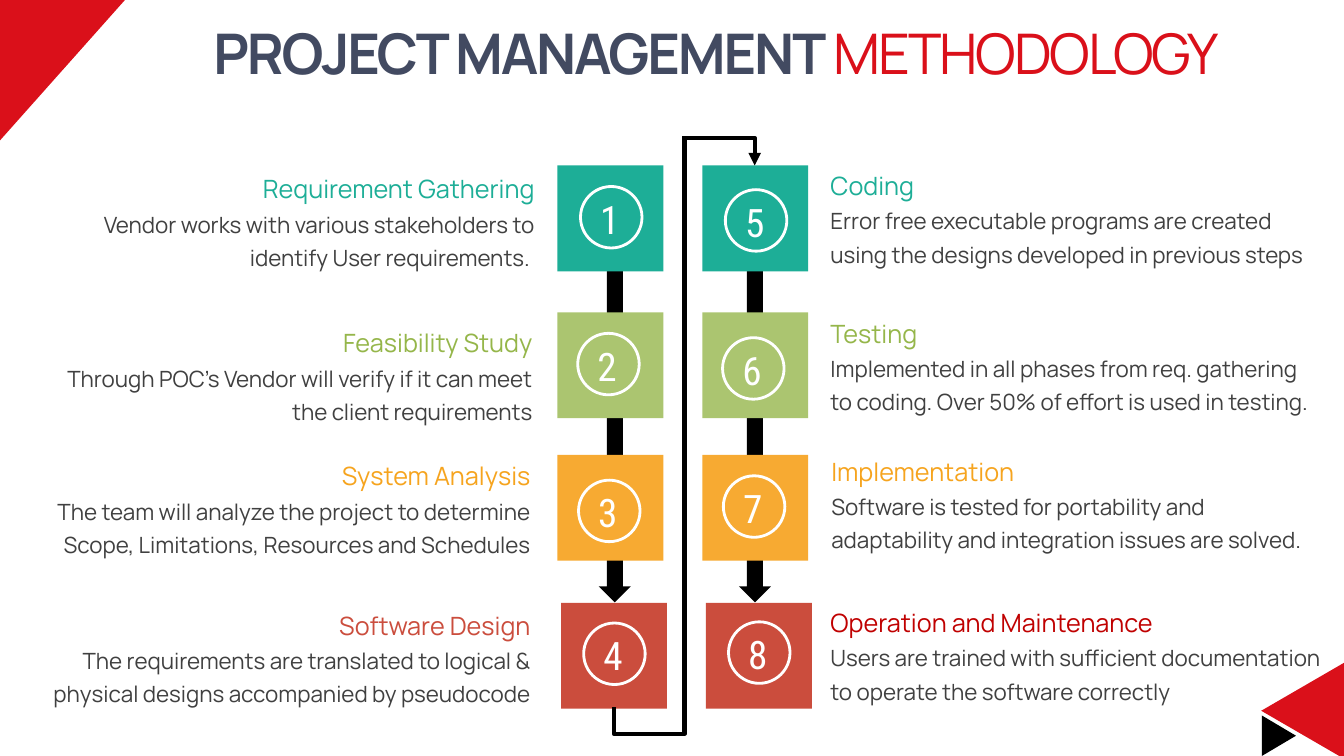
from dataclasses import dataclass

from lxml import etree
from pptx import Presentation
from pptx import util as u
from pptx.dml.color import RGBColor
from pptx.enum import shapes, text
from pptx.oxml import ns

Cm, Pt = u.Cm, u.Pt
PRESET = shapes.MSO_SHAPE
ALIGN = text.PP_ALIGN


@dataclass(frozen=True)
class Theme:
    red: str = "DA101A"
    navy: str = "424A61"
    body: str = "404040"
    black: str = "000000"
    white: str = "FFFFFF"
    boxes: tuple = ("1DAE97", "ABC570", "F7AA32", "CB4D3D")
    left_headings: tuple = ("1DAE97", "95B64A", "F6A41E", "CB4D3D")
    right_headings: tuple = ("1DAE97", "95B64A", "F6A41E", "C00000")
    font: str = "Manrope"
    number_font: str = "Roboto Condensed"
    title_size: int = 40
    heading_size: int = 18
    body_size: int = 16
    number_size: int = 28
    title_leading: int = 43
    caption_leading: int = 24


@dataclass(frozen=True)
class Step:
    heading: str
    body: str
    caption_at: tuple
    circle_offset: tuple


THEME = Theme()
SLIDE_WIDTH, SLIDE_HEIGHT = 33.87, 19.05
BOX = 2.67
ROW_TOPS = (4.17, 7.87, 11.46, 15.19)
LAST_ROW_SHIFT = 0.09
CIRCLE = 1.55
CAPTION_SIZE = (12.88, 2.82)

LEFT_STEPS = (
    Step("Requirement Gathering",
         "Vendor works with various stakeholders to identify User requirements. ",
         (0.84, 4.17), (0.58, 0.53)),
    Step("Feasibility Study",
         "Through POC’s Vendor will verify if it can meet the client requirements",
         (0.79, 8.05), (0.51, 0.53)),
    Step("System Analysis",
         "The team will analyze the project to determine Scope, Limitations, "
         "Resources and Schedules",
         (0.74, 11.4), (0.53, 0.64)),
    Step("Software Design",
         "The requirements are translated to logical & physical designs "
         "accompanied by pseudocode",
         (0.74, 15.16), (0.57, 0.51)),
)
RIGHT_STEPS = (
    Step("Coding",
         "Error free executable programs are created using the designs "
         "developed in previous steps",
         (20.68, 4.09), (0.58, 0.61)),
    Step("Testing",
         "Implemented in all phases from req. gathering to coding. "
         "Over 50% of effort is used in testing.",
         (20.68, 7.8), (0.51, 0.64)),
    Step("Implementation",
         "Software is tested for portability and adaptability and "
         "integration issues are solved.",
         (20.7, 11.28), (0.53, 0.53)),
    Step("Operation and Maintenance",
         "Users are trained with sufficient documentation to operate "
         "the software correctly",
         (20.68, 15.09), (0.57, 0.48)),
)


def color(value):
    return RGBColor.from_string(value)


def paint(shape, fill):
    shape.shadow.inherit = False
    shape.fill.solid()
    shape.fill.fore_color.rgb = color(fill)
    shape.line.fill.background()


def add_preset(slide, preset, left, top, width, height, fill):
    shape = slide.shapes.add_shape(preset, Cm(left), Cm(top), Cm(width), Cm(height))
    paint(shape, fill)
    return shape


def add_text_frame(slide, left, top, width, height):
    frame = slide.shapes.add_textbox(Cm(left), Cm(top), Cm(width), Cm(height)).text_frame
    frame.word_wrap = True
    return frame


def add_run(paragraph, words, size, fill, font=THEME.font, bold=False, tracking=0):
    run = paragraph.add_run()
    run.text = words
    run.font.name = font
    run.font.size = Pt(size)
    run.font.bold = bold
    run.font.color.rgb = color(fill)
    if tracking:
        run.font._element.set("spc", str(round(tracking * 100)))


def add_title(slide, left, top, width, height):
    paragraph = add_text_frame(slide, left, top, width, height).paragraphs[0]
    paragraph.alignment = ALIGN.CENTER
    paragraph.line_spacing = Pt(THEME.title_leading)
    add_run(paragraph, "PROJECT MANAGEMENT ", THEME.title_size, THEME.navy,
            bold=True, tracking=-1.5)
    add_run(paragraph, "METHODOLOGY", THEME.title_size, THEME.red, tracking=-1.5)


def add_corners(slide):
    builder = slide.shapes.build_freeform(0, 0)
    builder.add_line_segments([(Cm(3.15), 0), (0, Cm(3.54))], close=True)
    paint(builder.convert_to_shape(), THEME.red)
    for box, fill, rotation in (((31.62, 16.87, 2.41, 2.08), THEME.red, 270),
                                ((31.72, 18.11, 1.02, 0.86), THEME.black, 90)):
        add_preset(slide, PRESET.ISOSCELES_TRIANGLE, *box, fill).rotation = rotation


def add_caption(slide, step, heading_color, alignment):
    frame = add_text_frame(slide, *step.caption_at, *CAPTION_SIZE)
    lines = ((step.heading, THEME.heading_size, heading_color),
             (step.body, THEME.body_size, THEME.body))
    for index, line in enumerate(lines):
        paragraph = frame.add_paragraph() if index else frame.paragraphs[0]
        paragraph.alignment = alignment
        paragraph.line_spacing = Pt(THEME.caption_leading)
        add_run(paragraph, *line)


def add_badge(slide, number, left, top):
    """Draw a white ring with its step number."""
    ring = add_preset(slide, PRESET.OVAL, left, top, CIRCLE, CIRCLE, THEME.white)
    ring.fill.background()
    ring.line.color.rgb = color(THEME.white)
    ring.line.width = Pt(2)
    paragraph = add_text_frame(slide, left - 0.2, top + 0.09, 1.88, 1.45).paragraphs[0]
    paragraph.alignment = ALIGN.CENTER
    add_run(paragraph, str(number), THEME.number_size, THEME.white,
            THEME.number_font, tracking=-1.5)


def add_column(slide, left, steps, first_number, heading_colors, alignment):
    """Draw four steps downwards, with the arrow that runs behind their boxes."""
    arrow_left = left + (1.04 if first_number == 1 else 0.92)
    add_preset(slide, PRESET.DOWN_ARROW, arrow_left, ROW_TOPS[0] + BOX - 0.02,
               0.81, 8.36, THEME.black)
    for row, (step, top) in enumerate(zip(steps, ROW_TOPS)):
        box_left = left + (LAST_ROW_SHIFT if row == len(steps) - 1 else 0)
        add_preset(slide, PRESET.RECTANGLE, box_left, top, BOX, BOX, THEME.boxes[row])
        dx, dy = step.circle_offset
        add_badge(slide, first_number + row, box_left + dx, top + dy)
        add_caption(slide, step, heading_colors[row], alignment)


def add_elbow(slide, start, end):
    connector = slide.shapes.add_connector(
        shapes.MSO_CONNECTOR.ELBOW, *(Cm(value) for value in (*start, *end)))
    connector.line.color.rgb = color(THEME.black)
    connector.line.width = Pt(3)
    connector.line._get_or_add_ln().set("cap", "sq")
    properties = connector._element.spPr
    etree.SubElement(properties, ns.qn("a:effectLst"))
    return connector, properties


def add_return_path(slide, start_x, start_y, turn_x, turn_y, end_x, end_y, drop):
    """Lead from under step 4 up between the columns and into step 5."""
    center_x, center_y = (start_x + turn_x) / 2, (start_y + turn_y) / 2
    half_rise, half_run = (start_y - turn_y) / 2, (turn_x - start_x) / 2
    _, riser = add_elbow(slide, (center_x + half_rise, center_y + half_run),
                         (center_x - half_rise, center_y - half_run))
    riser.find(ns.qn("a:xfrm")).set("rot", "5400000")
    adjustments = riser.find(ns.qn("a:prstGeom")).find(ns.qn("a:avLst"))
    etree.SubElement(adjustments, ns.qn("a:gd"), name="adj1",
                     fmla=f"val {round(-drop / (2 * half_rise) * 100000)}")

    connector, entry = add_elbow(slide, (turn_x, turn_y), (end_x, end_y))
    entry.find(ns.qn("a:prstGeom")).set("prst", "bentConnector2")
    etree.SubElement(connector.line._get_or_add_ln(), ns.qn("a:tailEnd"), type="triangle")


def main():
    presentation = Presentation()
    presentation.slide_width = Cm(SLIDE_WIDTH)
    presentation.slide_height = Cm(SLIDE_HEIGHT)
    slide = presentation.slides.add_slide(presentation.slide_layouts[6])
    add_title(slide, 2.54, 0.51, 31.01, 1.78)
    add_corners(slide)
    add_column(slide, 14.05, LEFT_STEPS, 1, THEME.left_headings, ALIGN.RIGHT)
    add_column(slide, 17.7, RIGHT_STEPS, 5, THEME.right_headings, ALIGN.LEFT)
    add_return_path(slide, 15.47, ROW_TOPS[-1] + BOX, 17.25, 3.48,
                    19.02, ROW_TOPS[0], drop=0.63)
    presentation.save("out.pptx")


if __name__ == "__main__":
    main()
